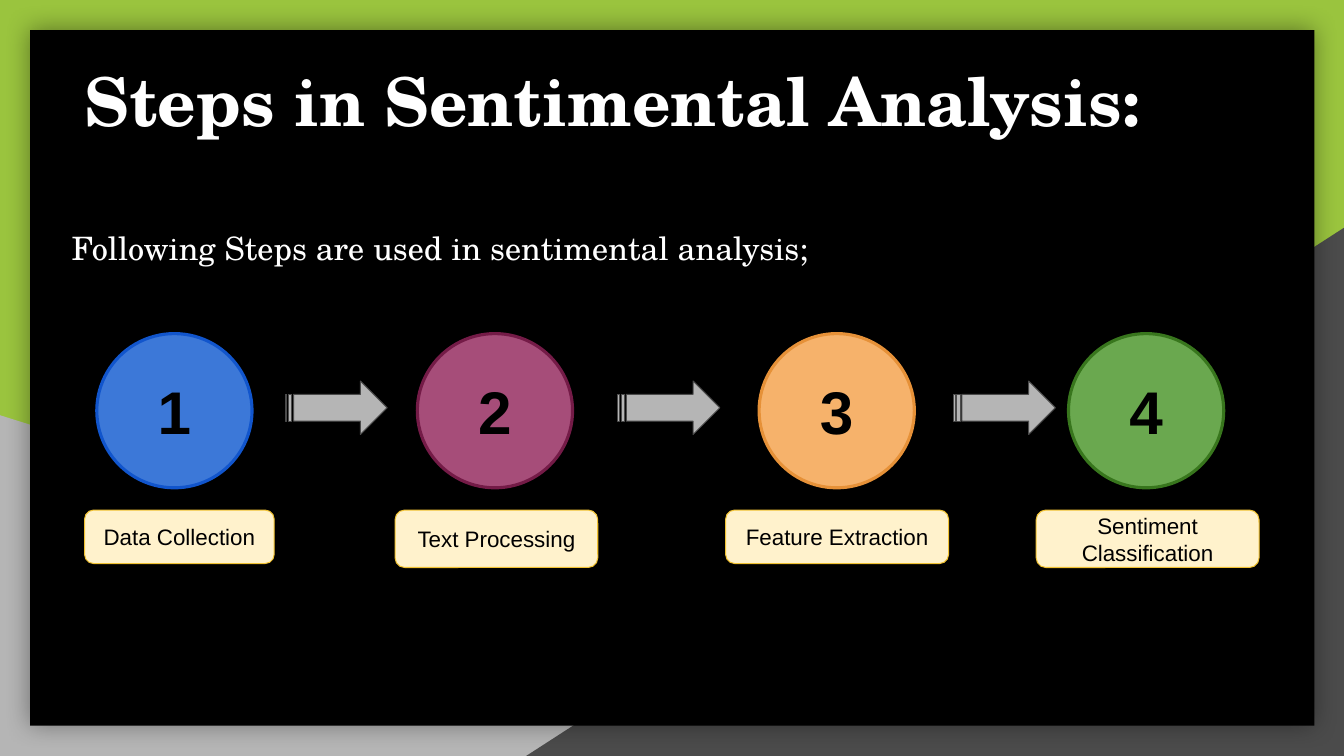
"""Build the slide that shows the four steps of sentimental analysis."""
from lxml.etree import SubElement
from pptx import Presentation
from pptx.dml.color import RGBColor
from pptx.enum.shapes import MSO_SHAPE
from pptx.enum.text import MSO_ANCHOR, PP_ALIGN
from pptx.oxml.ns import qn
from pptx.util import Inches, Pt

WHITE = RGBColor(0xFF, 0xFF, 0xFF)
BLACK = RGBColor(0x00, 0x00, 0x00)
LIME = RGBColor(0x9A, 0xC4, 0x3E)
LIGHT_GREY = RGBColor(0xB5, 0xB5, 0xB5)
DARK_GREY = RGBColor(0x4B, 0x4B, 0x4B)
CREAM = RGBColor(0xFF, 0xF2, 0xCC)
GOLD = RGBColor(0xF1, 0xC2, 0x32)
BLUE = RGBColor(0x3C, 0x78, 0xD8)
DARK_BLUE = RGBColor(0x11, 0x55, 0xCC)
PLUM = RGBColor(0xA6, 0x4D, 0x79)
DARK_PLUM = RGBColor(0x74, 0x1B, 0x47)
PEACH = RGBColor(0xF6, 0xB2, 0x6B)
ORANGE = RGBColor(0xE6, 0x91, 0x38)
GREEN = RGBColor(0x6A, 0xA8, 0x4F)
DARK_GREEN = RGBColor(0x38, 0x76, 0x1D)

presentation = Presentation()
presentation.slide_width = Inches(13.33)
presentation.slide_height = Inches(7.5)
percent_x = presentation.slide_width / 100
percent_y = presentation.slide_height / 100

slide = presentation.slides.add_slide(presentation.slide_layouts[1])
slide.background.fill.solid()
slide.background.fill.fore_color.rgb = LIME


def add_figure(kind, box, fill, outline=None, line_width=0):
    """Add a preset shape whose box is given in percent of the slide."""
    left, top, width, height = box
    shape = slide.shapes.add_shape(
        kind, int(left * percent_x), int(top * percent_y),
        int(width * percent_x), int(height * percent_y))
    shape.shadow.inherit = False
    shape.fill.solid()
    shape.fill.fore_color.rgb = fill
    if outline is None:
        shape.line.fill.background()
    else:
        shape.line.color.rgb = outline
        shape.line.width = Pt(line_width)
    return shape


def write_text(shape, text, anchor, paragraph_format, font_format, color):
    """Write one formatted paragraph into a shape."""
    shape.text_frame.text = text
    shape.text_frame.word_wrap = True
    shape.text_frame.vertical_anchor = anchor
    paragraph = shape.text_frame.paragraphs[0]
    for name, value in paragraph_format.items():
        setattr(paragraph, name, value)
    font = paragraph.runs[0].font
    for name, value in font_format.items():
        setattr(font, name, value)
    font.color.rgb = color
    return paragraph


title, body = slide.placeholders

light_corner = add_figure(MSO_SHAPE.RIGHT_TRIANGLE, (0, 54.93, 80.65, 45.07), LIGHT_GREY)
dark_corner = add_figure(MSO_SHAPE.RIGHT_TRIANGLE, (39.15, 30.13, 60.85, 69.87), DARK_GREY)
dark_corner.element.spPr.xfrm.set("flipH", "1")
panel = add_figure(MSO_SHAPE.RECTANGLE, (2.25, 4, 95.55, 92), BLACK)
effects = panel.element.spPr.find(qn("a:effectLst"))
shadow = SubElement(effects, qn("a:outerShdw"), blurRad=str(Pt(18)), dist="0", dir="0")
shadow_color = SubElement(shadow, qn("a:srgbClr"), val=str(BLACK))
SubElement(shadow_color, qn("a:alpha"), val="40000")
for backdrop in (light_corner, dark_corner, panel):
    title.element.addprevious(backdrop.element)

headings = [
    (title, "Steps in Sentimental Analysis:", (5.55, 6.93, 83.85, 13.73), MSO_ANCHOR.MIDDLE,
     {"line_spacing": 0.9}, {"size": Pt(48), "bold": True}),
    (body, "Following Steps are used in sentimental analysis;", (4.58, 24.27, 81.08, 11.73),
     MSO_ANCHOR.BOTTOM, {"line_spacing": 0.8, "space_before": Pt(10)}, {"size": Pt(23)}),
]
for placeholder, text, box, anchor, paragraph_format, font_format in headings:
    left, top, width, height = box
    frame = {"left": left * percent_x, "top": top * percent_y,
             "width": width * percent_x, "height": height * percent_y}
    for name, value in frame.items():
        setattr(placeholder, name, int(value))
    paragraph = write_text(
        placeholder, text, anchor, {"alignment": PP_ALIGN.LEFT, **paragraph_format},
        {"name": "TeX Gyre Schola", **font_format}, WHITE)
    properties = paragraph._p.get_or_add_pPr()
    properties.set("marL", "0")
    properties.set("indent", "0")
    SubElement(properties, qn("a:buNone"))

steps = [
    ("Data Collection", 7.2, BLUE, DARK_BLUE, (6.3, 67.47, 14.1, 7.07)),
    ("Text Processing", 31.05, PLUM, DARK_PLUM, (29.4, 67.47, 15.08, 7.6)),
    ("Feature Extraction", 56.48, PEACH, ORANGE, (54, 67.47, 16.58, 7.07)),
    ("Sentiment Classification", 79.5, GREEN, DARK_GREEN, (77.1, 67.47, 16.58, 7.6)),
]
margins = ("margin_left", "margin_top", "margin_right", "margin_bottom")
for number, (name, left, fill, outline, label_box) in enumerate(steps, 1):
    circle = add_figure(MSO_SHAPE.OVAL, (left, 44.13, 11.55, 20.4), fill, outline, 2.25)
    label = add_figure(MSO_SHAPE.ROUNDED_RECTANGLE, label_box, CREAM, GOLD, 0.75)
    for shape, text, size, bold in ((circle, str(number), 43, True), (label, name, 16, False)):
        for margin in margins:
            setattr(shape.text_frame, margin, Inches(0.13))
        write_text(shape, text, MSO_ANCHOR.MIDDLE, {"alignment": PP_ALIGN.CENTER},
                   {"name": "Arial", "size": Pt(size), "bold": bold}, BLACK)

for left in (21.23, 45.98, 70.95):
    add_figure(MSO_SHAPE.STRIPED_RIGHT_ARROW, (left, 50.4, 7.58, 7.07),
               LIGHT_GREY, DARK_GREY, 0.75)

presentation.save("out.pptx")
